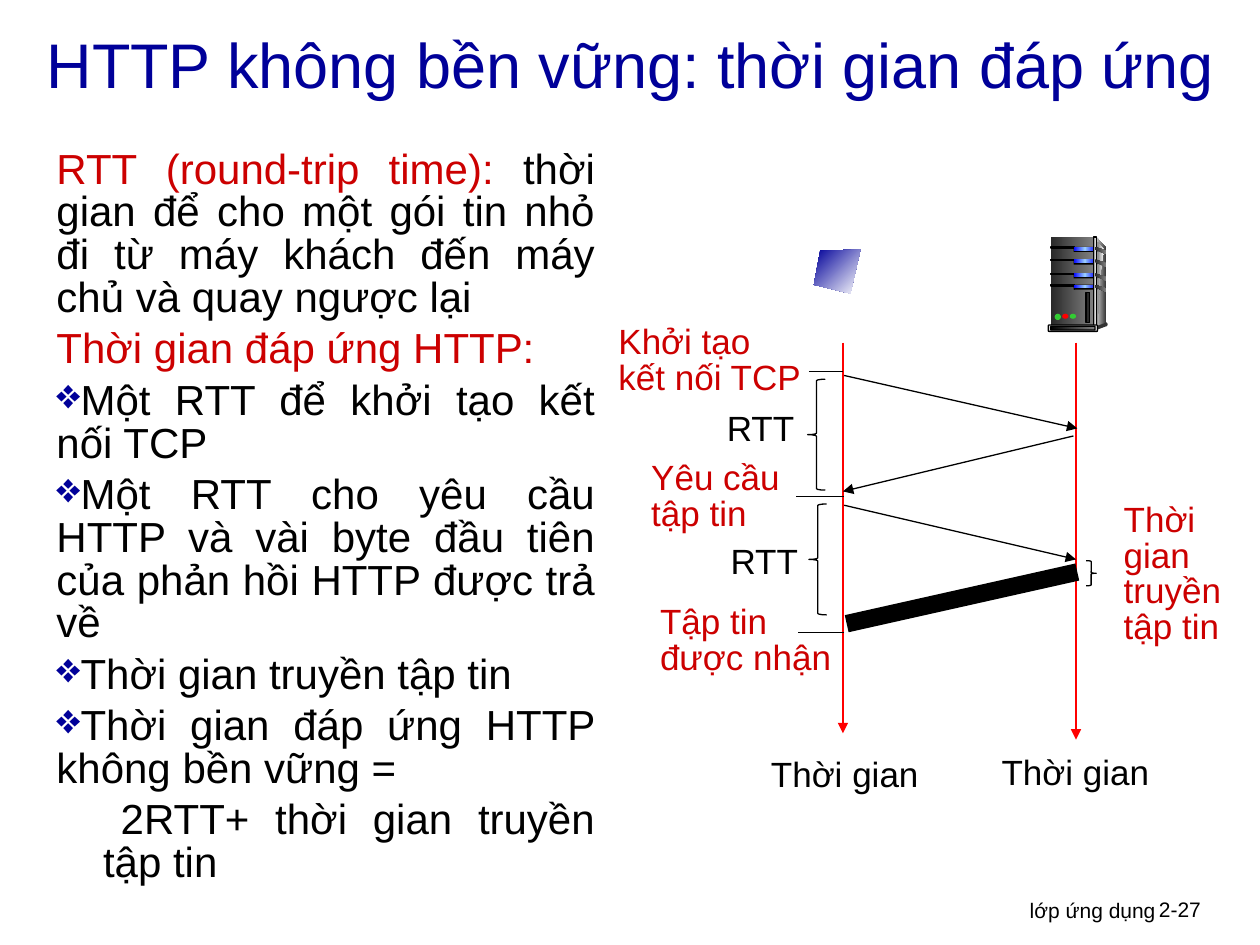
from copy import deepcopy
from dataclasses import dataclass

from lxml import etree
from pptx import Presentation
from pptx.dml.color import RGBColor
from pptx.enum.shapes import MSO_CONNECTOR, MSO_SHAPE
from pptx.enum.text import MSO_ANCHOR, MSO_AUTO_SIZE, PP_ALIGN
from pptx.oxml.ns import qn
from pptx.util import Pt

PX = 9144  # 100 px to the inch
LEFT, RIGHT, FULL = PP_ALIGN.LEFT, PP_ALIGN.RIGHT, PP_ALIGN.JUSTIFY
RECT, ROUND, OVAL = MSO_SHAPE.RECTANGLE, MSO_SHAPE.ROUNDED_RECTANGLE, MSO_SHAPE.OVAL
OPEN, CLOSE = MSO_SHAPE.LEFT_BRACE, MSO_SHAPE.RIGHT_BRACE
BLACK, RED, NAVY, ARROW = "000000", "CC0000", "000099", "FF0000"
COAL, DARK, GREY, PALE, GREEN = "292929", "333333", "808080", "DDDDDD", "33CC33"
LIGHT = ("0000FF", "99CCFF", "0000FF")


@dataclass
class Label:
    text: str
    box: tuple
    hue: str = BLACK
    size: int = 20
    align: int = LEFT
    wrap: bool = False
    gap: float = 0.85


@dataclass
class Para:
    runs: list
    left: int = 0
    indent: int = 0
    bullet: bool = False


@dataclass
class Line:
    start: tuple
    end: tuple
    hue: str = BLACK
    width: float = 0.75
    head: bool = False


@dataclass
class Part:
    kind: int
    box: tuple
    fill: object = None
    edge: bool = False


LABELS = [
    Label("lớp ứng dụng", (610, 707, 317, 31), size=12, align=RIGHT, wrap=True, gap=1),
    Label("2-27", (910, 707, 74, 30), size=12, wrap=True, gap=1),
    Label("Thời gian\ntruyền tập tin", (882, 395, 134, 124), RED, align=FULL, wrap=True),
    Label("Khởi tạo\nkết nối TCP", (481, 254, 166, 67), RED),
    Label("RTT", (567, 323, 74, 39)),
    Label("Yêu cầu\ntập tin", (507, 362, 123, 67), RED),
    Label("RTT", (570, 428, 74, 39)),
    Label("Tập tin\nđược nhận", (514, 476, 157, 67), RED),
    Label("Thời gian", (602, 597, 139, 39)),
    Label("Thời gian", (785, 591, 139, 44), gap=1),
]
BODY = [
    Para([("RTT (round-trip time):", RED),
          (" thời gian để cho một gói tin nhỏ đi từ máy khách đến máy chủ và quay ngược lại", BLACK)]),
    Para([("Thời gian đáp ứng HTTP:", RED)]),
    *(Para([(text, BLACK)], indent=-11, bullet=True) for text in (
        "Một RTT để khởi tạo kết nối TCP",
        "Một RTT cho yêu cầu HTTP và vài byte đầu tiên của phản hồi HTTP được trả về",
        "Thời gian truyền tập tin",
        "Thời gian đáp ứng HTTP không bền vững =")),
    Para([("2RTT+ thời gian truyền tập tin", BLACK)], left=37, indent=14),
]
LINES = [
    Line((669, 272), (669, 582), ARROW, head=True),
    Line((854, 272), (854, 587), ARROW, head=True),
    Line((670, 298), (855, 340), head=True),
    Line((852, 346), (669, 390), head=True),
    Line((670, 401), (854, 444), head=True),
    Line((855, 454), (672, 495), width=10),
    Line((642, 295), (669, 295)),
    Line((632, 394), (670, 394)),
    Line((670, 502), (633, 502)),
]
BRACES = [
    Part(CLOSE, (862, 445, 8, 20), edge=True),
    Part(OPEN, (641, 301, 14, 88), edge=True),
    Part(OPEN, (642, 400, 14, 88), edge=True),
]
SLOTS = (196, 206, 217, 226)
FOOT = [
    Part(ROUND, (832, 258, 39, 5), PALE, True),
    Part(ROUND, (834, 259, 35, 3), (BLACK, GREY), True),
    Part(OVAL, (837, 249, 5, 5), GREEN),
    Part(OVAL, (843, 249, 5, 4), ARROW),
    Part(OVAL, (849, 249, 5, 4), GREEN),
    Part(RECT, (862, 232, 3, 24), COAL, True),
]


def rgb(hue: str) -> RGBColor:
    return RGBColor.from_string(hue)


def emu(box: tuple) -> list:
    return [n * PX for n in box]


def style(run, size: int, hue: str) -> None:
    run.font.name, run.font.size = "Arial", Pt(size)
    run.font.color.rgb = rgb(hue)


def paint(shape, fill, edge: bool = False, angle: int = 0) -> None:
    """Fill with nothing, one hex colour, or a tuple of evenly spaced stops."""
    shape.shadow.inherit = False
    if fill is None:
        shape.fill.background()
    elif isinstance(fill, str):
        shape.fill.solid()
        shape.fill.fore_color.rgb = rgb(fill)
    else:
        shape.fill.gradient()
        shape.fill.gradient_angle = angle
        stops = shape.element.spPr.find(qn("a:gradFill")).find(qn("a:gsLst"))
        for _ in fill[2:]:
            stops.append(deepcopy(stops[-1]))
        for i, stop in enumerate(shape.fill.gradient_stops):
            stop.color.rgb = rgb(fill[i])
            stop.position = i / (len(fill) - 1)
    if edge:
        shape.line.color.rgb, shape.line.width = rgb(BLACK), Pt(0.75)
    else:
        shape.line.fill.background()


def draw_part(shapes, part: Part) -> None:
    shape = shapes.add_shape(part.kind, *emu(part.box))
    if part.kind == ROUND:
        shape.adjustments[0] = 0.11
    paint(shape, part.fill, part.edge)


def draw_free(shapes, points: list, fill, angle: int = 0) -> None:
    pen = shapes.build_freeform(*points[0], scale=PX)
    pen.add_line_segments(points[1:], close=True)
    paint(pen.convert_to_shape(), fill, angle=angle)


def draw_line(shapes, line: Line) -> None:
    wire = shapes.add_connector(MSO_CONNECTOR.STRAIGHT, *emu(line.start + line.end))
    wire.line.color.rgb, wire.line.width = rgb(line.hue), Pt(line.width)
    if line.head:
        ln = wire.element.spPr.find(qn("a:ln"))
        etree.SubElement(ln, qn("a:tailEnd"), type="triangle")
    etree.SubElement(wire.element.spPr, qn("a:effectLst"))


def draw_label(shapes, label: Label) -> None:
    frame = shapes.add_textbox(*emu(label.box)).text_frame
    frame.word_wrap = label.wrap
    frame.text = label.text
    for para in frame.paragraphs:
        para.alignment, para.line_spacing = label.align, label.gap
        style(para.runs[0], label.size, label.hue)


def draw_body(shapes) -> None:
    frame = shapes.add_textbox(*emu((35, 114, 447, 508))).text_frame
    frame.word_wrap = True
    for i, item in enumerate(BODY):
        para = frame.add_paragraph() if i else frame.paragraphs[0]
        props = para._p.get_or_add_pPr()
        props.set("marL", str(item.left * PX))
        props.set("indent", str(item.indent * PX))
        if item.bullet:
            tint = etree.SubElement(props, qn("a:buClr"))
            etree.SubElement(tint, qn("a:srgbClr"), val=NAVY)
            etree.SubElement(props, qn("a:buChar"), char="❖")
        para.alignment, para.line_spacing = FULL, 0.85
        if i:
            para.space_before = Pt(4.8)
        for text, hue in item.runs:
            run = para.add_run()
            run.text = text
            style(run, 24, hue)


def draw_server(shapes) -> None:
    draw_free(shapes, [(870, 188), (878, 197), (878, 256), (869, 259)], (PALE, DARK))
    draw_part(shapes, Part(RECT, (834, 188, 34, 71), (COAL, GREY)))
    draw_free(shapes, [(871, 192), (876, 198), (873, 220), (871, 257)], (GREY, "F8F8F8"))
    for top in SLOTS:
        draw_part(shapes, Part(RECT, (834, top, 19, 1), BLACK, True))
        draw_part(shapes, Part(ROUND, (852, top, 19, 4), BLACK))
        draw_part(shapes, Part(ROUND, (852, top, 18, 3), LIGHT))
    draw_part(shapes, Part(RECT, (868, 188, 2, 72), (DARK, PALE, DARK), True))
    for top in SLOTS:
        vent = [(869, top), (878, top + 3), (878, top + 6), (869, top + 2)]
        draw_free(shapes, vent, (COAL, GREY))
    draw_part(shapes, Part(OVAL, (877, 256, 2, 3), DARK))
    draw_free(shapes, [(870, 259), (870, 262), (878, 259), (878, 256)], DARK)
    for part in FOOT:
        draw_part(shapes, part)


def main() -> None:
    deck = Presentation()
    deck.slide_width, deck.slide_height = emu((1000, 750))
    shapes = deck.slides.add_slide(deck.slide_layouts[5]).shapes
    title = shapes.title
    title.left, title.top, title.width, title.height = emu((27, 0, 973, 101))
    frame = title.text_frame
    frame.text = "HTTP không bền vững: thời gian đáp ứng"
    frame.auto_size, frame.vertical_anchor = MSO_AUTO_SIZE.NONE, MSO_ANCHOR.MIDDLE
    frame.paragraphs[0].alignment = LEFT
    style(frame.paragraphs[0].runs[0], 36, NAVY)
    draw_body(shapes)
    for line in LINES:
        draw_line(shapes, line)
    for brace in BRACES:
        draw_part(shapes, brace)
    for label in LABELS:
        draw_label(shapes, label)
    draw_server(shapes.add_group_shape().shapes)
    screen = [(683, 198), (651, 199), (646, 226), (675, 233)]
    draw_free(shapes, screen, (NAVY, "FFFFFF"), angle=315)
    deck.save("out.pptx")


if __name__ == "__main__":
    main()
